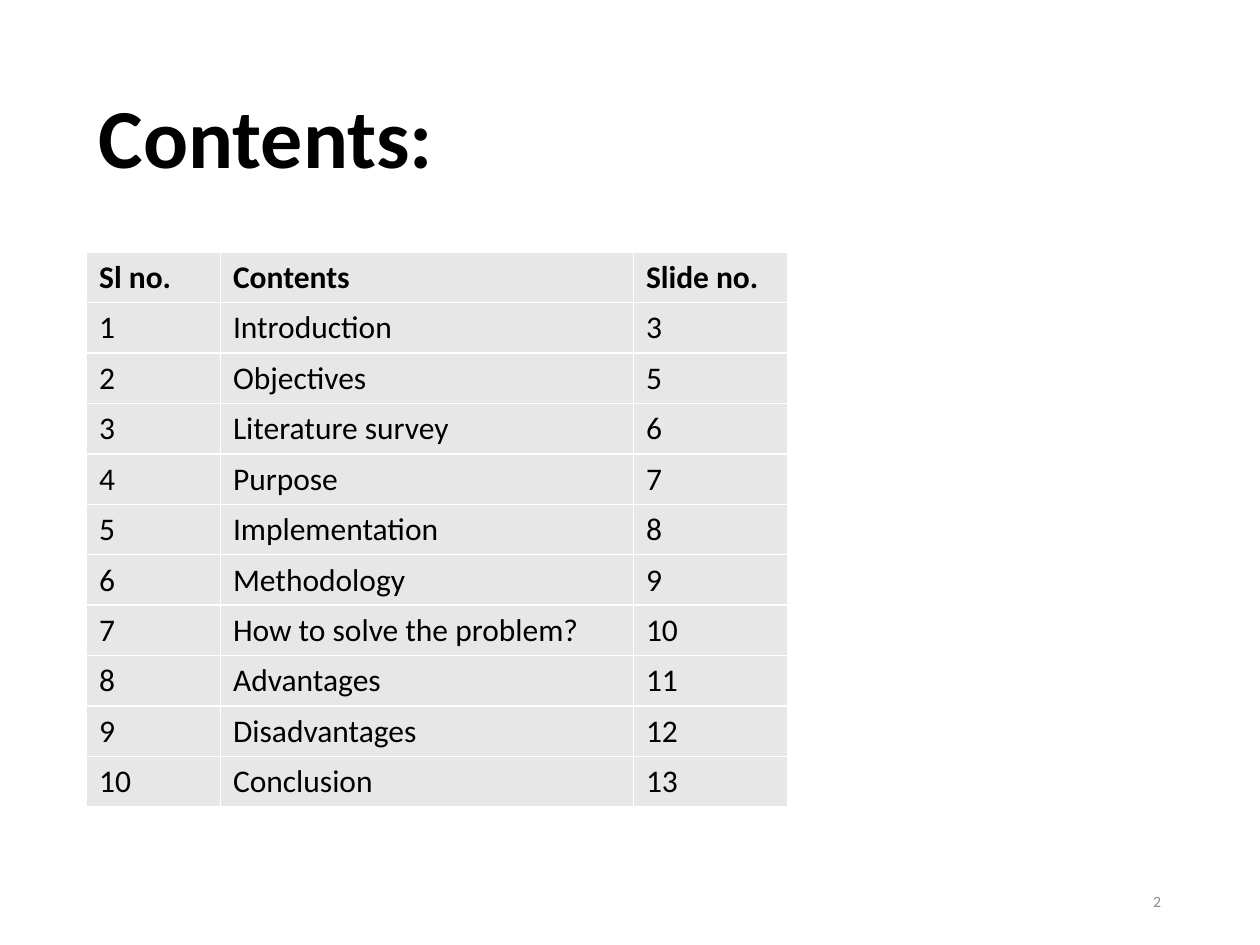
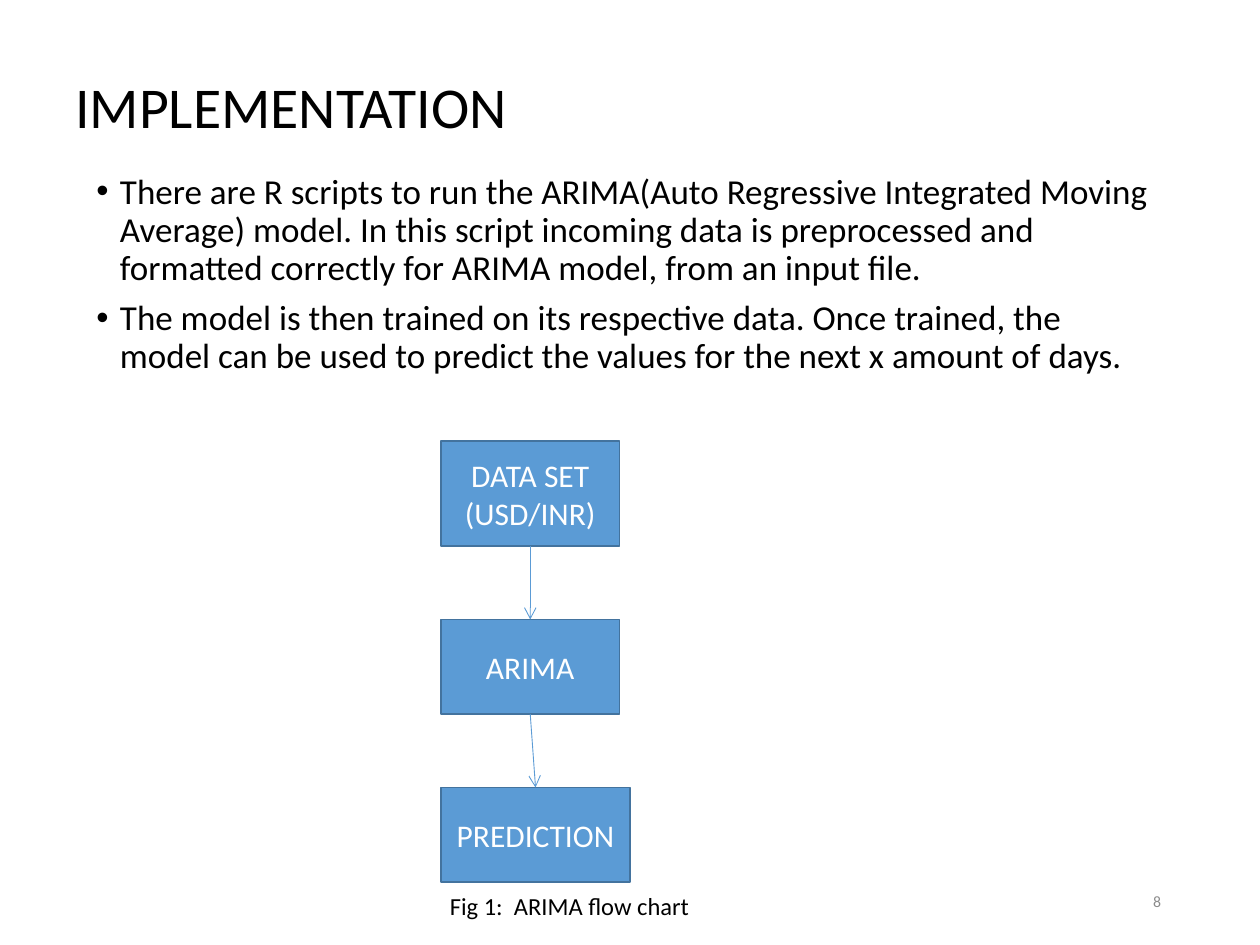
from lxml import etree
from pptx import Presentation
from pptx.dml.color import RGBColor
from pptx.enum.shapes import MSO_CONNECTOR as CONN, MSO_SHAPE as SHAPE
from pptx.enum.text import MSO_ANCHOR as ANCHOR, PP_ALIGN as ALIGN
from pptx.oxml.ns import qn
from pptx.util import Pt

FONT = "Calibri"
COLORS = {
    "text": "000000",
    "white": "FFFFFF",
    "number": "8C8C8C",
    "cell": "E7E7E7",
    "box": "5B9BD5",
    "box_line": "43739E",
}
BOTTOM_SITE, TOP_SITE = 2, 0

CONTENTS = [
    ("Introduction", 3),
    ("Objectives", 5),
    ("Literature survey", 6),
    ("Purpose", 7),
    ("Implementation", 8),
    ("Methodology", 9),
    ("How to solve the problem?", 10),
    ("Advantages", 11),
    ("Disadvantages", 12),
    ("Conclusion", 13),
]
BULLETS = [
    "There are R scripts to run the ARIMA(Auto Regressive Integrated Moving "
    "Average) model. In this script incoming data is preprocessed and "
    "formatted correctly for ARIMA model, from an input file.",
    "The model is then trained on its respective data. Once trained, the "
    "model can be used to predict the values for the next x amount of days.",
]
# Lines of text, top, width, height
FLOW_STEPS = [
    (["DATA SET", "(USD/INR)"], 252, 102, 60),
    (["ARIMA"], 354, 102, 54),
    (["PREDICTION"], 450, 108, 54),
]
FLOW_LEFT = 252


def rgb(name):
    return RGBColor.from_string(COLORS[name])


def style(p, size, color="text", bold=False, align=ALIGN.LEFT):
    p.alignment = align
    p.font.name, p.font.size, p.font.bold = FONT, Pt(size), bold
    p.font.color.rgb = rgb(color)


def fill_text(tf, lines, size, **look):
    """Write one paragraph per line and return the paragraphs."""
    tf.text = "\n".join(lines)
    for p in tf.paragraphs:
        style(p, size, **look)
    return tf.paragraphs


def add_text(slide, box, lines, size, anchor=ANCHOR.MIDDLE, **look):
    tf = slide.shapes.add_textbox(*map(Pt, box)).text_frame
    tf.word_wrap = True
    tf.vertical_anchor = anchor
    return fill_text(tf, lines, size, **look)


def add_title(slide, box, text, size, bold=False):
    add_text(slide, box, [text], size, bold=bold)[0].line_spacing = 0.9


def add_slide_number(slide, number):
    add_text(slide, (508.5, 500.5, 162, 28.75), [str(number)], 9,
             color="number", align=ALIGN.RIGHT)


def add_bullets(slide, box, lines, size):
    for p in add_text(slide, box, lines, size, anchor=ANCHOR.TOP):
        p.line_spacing, p.space_before = 0.9, Pt(7.5)
        pPr = p._p.get_or_add_pPr()
        pPr.set("marL", str(Pt(13.5)))
        pPr.set("indent", str(Pt(-13.5)))
        bullet_font = etree.Element(qn("a:buFont"), typeface="Arial")
        bullet = etree.Element(qn("a:buChar"), char="•")
        at = pPr.index(pPr.find(qn("a:spcBef"))) + 1
        pPr[at:at] = [bullet_font, bullet]


def add_cell_borders(cell, color, width):
    tcPr = cell._tc.get_or_add_tcPr()
    for side in ("lnL", "lnR", "lnT", "lnB"):
        ln = etree.SubElement(tcPr, qn(f"a:{side}"), w=str(Pt(width)))
        solid = etree.SubElement(ln, qn("a:solidFill"))
        etree.SubElement(solid, qn("a:srgbClr"), val=COLORS[color])


def add_grid(slide, left, top, widths, row_height, rows):
    """Add a table whose first row is a bold header."""
    table = slide.shapes.add_table(
        len(rows), len(widths), Pt(left), Pt(top),
        Pt(sum(widths)), Pt(row_height * len(rows))).table
    table.horz_banding = False
    for column, width in zip(table.columns, widths):
        column.width = Pt(width)
    for r, values in enumerate(rows):
        table.rows[r].height = Pt(row_height)
        for c, value in enumerate(values):
            cell = table.cell(r, c)
            add_cell_borders(cell, "white", 1)
            cell.fill.solid()
            cell.fill.fore_color.rgb = rgb("cell")
            fill_text(cell.text_frame, [str(value)], 18, bold=r == 0)


def add_step(slide, lines, top, width, height):
    sp = slide.shapes.add_shape(
        SHAPE.RECTANGLE, Pt(FLOW_LEFT), Pt(top), Pt(width), Pt(height))
    sp.shadow.inherit = False
    sp.fill.solid()
    sp.fill.fore_color.rgb = rgb("box")
    sp.line.color.rgb = rgb("box_line")
    sp.line.width = Pt(1)
    sp.text_frame.vertical_anchor = ANCHOR.MIDDLE
    fill_text(sp.text_frame, lines, 18, color="white", align=ALIGN.CENTER)
    return sp


def add_arrow(slide, upper, lower):
    line = slide.shapes.add_connector(CONN.STRAIGHT, 0, 0, 0, 0)
    line.begin_connect(upper, BOTTOM_SITE)
    line.end_connect(lower, TOP_SITE)
    line.line.color.rgb = rgb("box")
    line.line.width = Pt(0.5)
    etree.SubElement(line.line._get_or_add_ln(), qn("a:tailEnd"), type="arrow")
    etree.SubElement(line._element.spPr, qn("a:effectLst"))


def build_contents(slide):
    add_title(slide, (49.5, 28.75, 621, 104.4), "Contents:", 48, bold=True)
    rows = [("Sl no.", "Contents", "Slide no.")]
    rows += [(i, *entry) for i, entry in enumerate(CONTENTS, 1)]
    add_grid(slide, 49.5, 144, (76.5, 236, 88), 26.75, rows)
    add_slide_number(slide, 2)


def build_implementation(slide):
    add_title(slide, (36, 18, 648, 90), "IMPLEMENTATION", 33)
    add_slide_number(slide, 8)
    add_bullets(slide, (48, 96, 621, 130), BULLETS, 20)
    steps = [add_step(slide, *step) for step in FLOW_STEPS]
    for upper, lower in zip(steps, steps[1:]):
        add_arrow(slide, upper, lower)
    add_text(slide, (250, 505.5, 200, 24), ["Fig 1:  ARIMA flow chart"], 14)


def main():
    prs = Presentation()
    prs.slide_width, prs.slide_height = Pt(720), Pt(540)
    blank = prs.slide_layouts[6]
    for build in (build_contents, build_implementation):
        build(prs.slides.add_slide(blank))
    prs.save("out.pptx")


if __name__ == "__main__":
    main()
